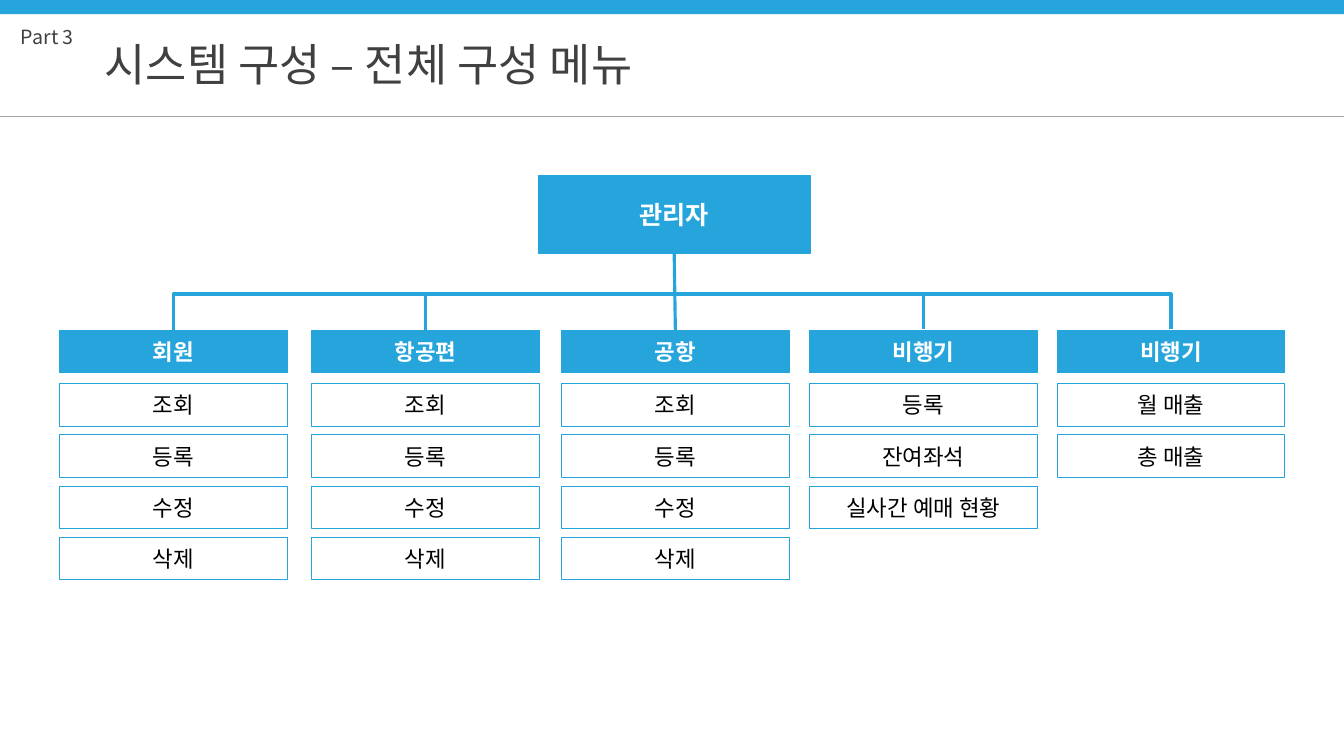
from pptx import Presentation
from pptx.dml.color import RGBColor
from pptx.enum.shapes import MSO_CONNECTOR, MSO_SHAPE
from pptx.enum.text import MSO_ANCHOR, MSO_AUTO_SIZE, PP_ALIGN
from pptx.oxml.ns import qn
from pptx.util import Cm, Pt
from lxml.etree import SubElement

PART = "Part 3"
TITLE = "시스템 구성 – 전체 구성 메뉴"
ROOT = "관리자"
MENU = [
    (1.5, "회원", ["조회", "등록", "수정", "삭제"]),
    (7.85, "항공편", ["조회", "등록", "수정", "삭제"]),
    (14.15, "공항", ["조회", "등록", "수정", "삭제"]),
    (20.4, "비행기", ["등록", "잔여좌석", "실사간 예매 현황"]),
    (26.64, "비행기", ["월 매출", "총 매출"]),
]
FONT = "Noto Sans CJK KR"
BLUE, GREY, DARK, WHITE, BLACK = "26A5DC", "A5A5A5", "404040", "FFFFFF", "000000"
WIDE, HIGH = 33.87, 19.05
BOX_W, BOX_H = 5.74, 1.07
HEAD_Y, ITEM_Y, STEP = 8.33, 9.67, 1.29
RISE, THIN = 0.92, 0.04

deck = Presentation()
deck.slide_width, deck.slide_height = Cm(WIDE), Cm(HIGH)
slide = deck.slides.add_slide(deck.slide_layouts[6])
shapes = slide.shapes


def paint(color, value):
    color.rgb = RGBColor.from_string(value)


def write(shape, text, size=16, color=BLACK, bold=False, align=PP_ALIGN.CENTER,
          anchor=MSO_ANCHOR.MIDDLE, wrap=True):
    frame = shape.text_frame
    frame.word_wrap = wrap
    frame.vertical_anchor = anchor
    para = frame.paragraphs[0]
    para.alignment = align
    run = para.add_run()
    run.text = text
    font = run.font
    font.name, font.size, font.bold = FONT, Pt(size), bold
    paint(font.color, color)
    SubElement(font._element, qn("a:ea"), typeface=FONT)


def label(text, x, y, w, h, **style):
    box = shapes.add_textbox(Cm(x), Cm(y), Cm(w), Cm(h))
    write(box, text, color=DARK, align=PP_ALIGN.LEFT, anchor=MSO_ANCHOR.TOP, **style)
    box.text_frame.auto_size = MSO_AUTO_SIZE.SHAPE_TO_FIT_TEXT


def block(x, y, w, h, fill=None, line=BLUE):
    box = shapes.add_shape(MSO_SHAPE.RECTANGLE, Cm(x), Cm(y), Cm(w), Cm(h))
    box.shadow.inherit = False
    if fill:
        box.fill.solid()
        paint(box.fill.fore_color, fill)
    else:
        box.fill.background()
    if line:
        paint(box.line.color, line)
        box.line.width = Pt(0.75)
    else:
        box.line.fill.background()
    return box


def link(kind, x1, y1, x2, y2, color=BLUE, width=2.25):
    wire = shapes.add_connector(kind, Cm(x1), Cm(y1), Cm(x2), Cm(y2))
    paint(wire.line.color, color)
    wire.line.width = Pt(width)
    SubElement(wire._element.spPr, qn("a:effectLst"))
    return wire


def bridge(left, right):
    mid, span = (left + right) / 2, right - left
    y = HEAD_Y - THIN / 2
    wire = link(MSO_CONNECTOR.ELBOW, mid - THIN / 2, y - span / 2,
                mid + THIN / 2, y + span / 2)
    props = wire._element.spPr
    frame = props.find(qn("a:xfrm"))
    for name, value in (("rot", "5400000"), ("flipH", "1"), ("flipV", "1")):
        frame.set(name, value)
    bends = props.find(qn("a:prstGeom")).find(qn("a:avLst"))
    SubElement(bends, qn("a:gd"), name="adj1", fmla=f"val {round(RISE / THIN * 100000)}")


block(0, 0, WIDE, 0.36, fill=BLUE, line=None)
link(MSO_CONNECTOR.STRAIGHT, 0, 2.93, WIDE, 2.93, color=GREY, width=0.5)
label(TITLE, 2.39, 0.79, 14.38, 1.63, size=32, wrap=False)
label(PART, 0.28, 0.5, 4.8, 0.86, size=14)

heads = []
for x, name, items in MENU:
    head = block(x, HEAD_Y, BOX_W, BOX_H, fill=BLUE)
    write(head, name, color=WHITE, bold=True)
    heads.append(head)
    for row, item in enumerate(items):
        write(block(x, ITEM_Y + row * STEP, BOX_W, BOX_H), item)

root = block(13.56, 4.42, 6.86, 1.96, fill=BLUE)
write(root, ROOT, size=18, color=WHITE, bold=True)

mids = [x + BOX_W / 2 for x, name, items in MENU]
bridge(mids[0], mids[4])
bridge(mids[1], mids[3])
stem = link(MSO_CONNECTOR.STRAIGHT, mids[2], HEAD_Y, mids[2], 6.38)
stem.begin_connect(heads[2], 0)
stem.end_connect(root, 2)

deck.save("out.pptx")
